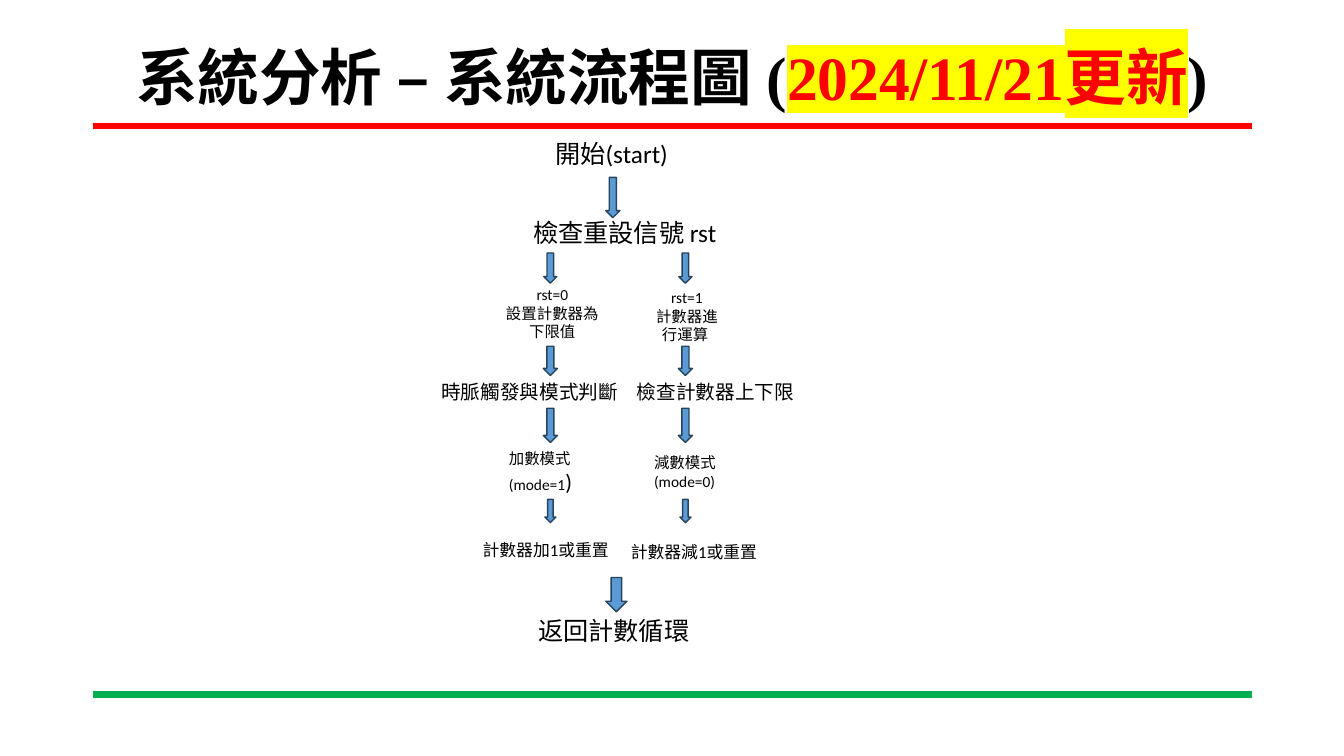
from dataclasses import dataclass

from lxml.etree import SubElement
from pptx import Presentation
from pptx.dml.color import RGBColor as Color
from pptx.enum.shapes import MSO_CONNECTOR as Connector, MSO_SHAPE as Shape
from pptx.enum.text import MSO_ANCHOR as Anchor, MSO_AUTO_SIZE as AutoSize, PP_ALIGN as Align
from pptx.oxml import parse_xml
from pptx.oxml.ns import nsdecls, qn
from pptx.util import Inches, Pt


@dataclass(frozen=True)
class Theme:
    """Colours, fonts and type sizes of the slide."""
    ink: str = "000000"
    alert: str = "FF0000"
    marker: str = "FFFF00"
    footer: str = "00B050"
    arrow: str = "5B9BD5"
    edge: str = "28445D"
    title_font: str = "Times New Roman"
    body_font: str = "Calibri"
    title: int = 44
    main: int = 18
    bracket: int = 16
    step: int = 14
    result: int = 12
    detail: int = 11
    rule: float = 4.5


THEME = Theme()
UNIT = 0.1


@dataclass(frozen=True)
class Box:
    """A rectangle counted in columns and rows of the slide grid."""
    col: float
    row: float
    cols: float
    rows: float

    def inner(self, col, row, cols, rows):
        """Return a box placed relative to this one."""
        return Box(self.col + col, self.row + row, cols, rows)

    def lengths(self):
        """Return left, top, width and height as slide lengths."""
        return [Inches(n * UNIT) for n in (self.col, self.row, self.cols, self.rows)]


PAGE = Box(0, 0, 133.33, 75)
HEADER = PAGE.inner(9.2, 4, 115, 7.9)
FLOW = PAGE.inner(42.8, 13.2, 37.4, 51.4)
LEFT_AXIS, RIGHT_AXIS = 11.8, 25.2
LANE_ARROWS = [(11.9, 1.3, 3), (21.15, 1.4, 2.9), (27.3, 1.4, 3.4), (36.35, 1.1, 2.3)]
LEFT_STEPS = [
    ((-6.1, 14.6, 12.6, 6.6), ["rst=0", "設置計數器為下限值"], THEME.detail, Align.CENTER),
    ((-11.8, 24, 26, 3.4), ["時脈觸發與模式判斷"], THEME.step, Align.LEFT),
    ((-5.1, 30.9, 10.6, 5.6), ["加數模式 (mode=1"], THEME.detail, Align.LEFT),
    ((-7.7, 39.9, 18.6, 3), ["計數器加1或重置"], THEME.result, Align.LEFT),
]
RIGHT_STEPS = [
    ((-4.2, 14.9, 8.7, 6.6), ["rst=1", "計數器進行運算 "], THEME.detail, Align.CENTER),
    ((-5.8, 24, 18, 3.4), ["檢查計數器上下限"], THEME.step, Align.LEFT),
    ((-4.1, 31.3, 11.8, 4.7), ["減數模式 (mode=0)"], THEME.detail, Align.LEFT),
    ((-6.4, 40.1, 19.2, 3), ["計數器減1或重置"], THEME.result, Align.LEFT),
]


def add_span(para, text, *, size, font=THEME.body_font, color=THEME.ink, bold=False, highlight=None):
    """Add a formatted run of text to a paragraph."""
    span = para.add_run()
    span.text = text
    span.font.size = Pt(size)
    span.font.bold = bold
    span.font.color.rgb = Color.from_string(color)
    if highlight:
        mark = SubElement(span.font._element, qn("a:highlight"))
        SubElement(mark, qn("a:srgbClr"), val=highlight)
    span.font.name = font


def add_rule(page, box, color):
    """Draw a horizontal rule along the top of a box."""
    left, top, width, _ = box.lengths()
    rule = page.shapes.add_connector(Connector.STRAIGHT, left, top, left + width, top)
    rule.line.color.rgb = Color.from_string(color)
    rule.line.width = Pt(THEME.rule)
    rule._element.spPr.append(parse_xml(f"<a:effectLst {nsdecls('a')}/>"))


def add_label(page, box, lines, size, align=Align.LEFT):
    """Write lines of text in a box and return its last paragraph."""
    frame = page.shapes.add_textbox(*box.lengths()).text_frame
    frame.word_wrap = True
    frame.auto_size = AutoSize.SHAPE_TO_FIT_TEXT
    for index, line in enumerate(lines):
        para = frame.add_paragraph() if index else frame.paragraphs[0]
        para.alignment = align
        add_span(para, line, size=size)
    return para


def add_arrow(page, box):
    """Draw a down arrow that fills a box."""
    arrow = page.shapes.add_shape(Shape.DOWN_ARROW, *box.lengths())
    arrow.shadow.inherit = False
    arrow.fill.solid()
    arrow.fill.fore_color.rgb = Color.from_string(THEME.arrow)
    arrow.line.color.rgb = Color.from_string(THEME.edge)
    arrow.line.width = Pt(1)


def add_header(page, box):
    """Fill the title placeholder and underline it."""
    title = page.shapes.title
    title.left, title.top, title.width, title.height = box.lengths()
    frame = title.text_frame
    frame.word_wrap = True
    frame.auto_size = AutoSize.NONE
    frame.vertical_anchor = Anchor.MIDDLE
    para = frame.paragraphs[0]
    para.alignment = Align.CENTER
    para.line_spacing = 0.9
    look = {"size": THEME.title, "font": THEME.title_font, "bold": True}
    add_span(para, "系統分析 – 系統流程圖 (", **look)
    add_span(para, "2024/11/21更新", color=THEME.alert, highlight=THEME.marker, **look)
    add_span(para, ")", **look)
    add_rule(page, box.inner(0, 8.5, box.cols, 0), THEME.alert)


def add_lane(page, box, steps):
    """Draw one branch around the left edge of its box."""
    for row, cols, rows in LANE_ARROWS:
        add_arrow(page, box.inner(-cols / 2, row, cols, rows))
    return [add_label(page, box.inner(*place), *rest) for place, *rest in steps]


def add_flow(page, box):
    """Draw the flowchart with its shared steps and two branches."""
    add_label(page, box.inner(11.3, 0, 34.3, 4), ["開始(start)"], THEME.main)
    add_arrow(page, box.inner(17.3, 4.4, 1.4, 4))
    add_label(page, box.inner(5.6, 7.9, 27.7, 4), ["檢查重設信號 rst "], THEME.main, Align.CENTER)
    left_lane = add_lane(page, box.inner(LEFT_AXIS, 0, 0, box.rows), LEFT_STEPS)
    add_span(left_lane[2], ")", size=THEME.bracket)
    add_lane(page, box.inner(RIGHT_AXIS, 0, 0, box.rows), RIGHT_STEPS)
    add_arrow(page, box.inner(17.3, 44.1, 2.1, 3.4))
    add_label(page, box.inner(9.6, 47.4, 17.4, 4), ["返回計數循環"], THEME.main)


def main():
    """Build the deck and save it."""
    deck = Presentation()
    _, _, deck.slide_width, deck.slide_height = PAGE.lengths()
    page = deck.slides.add_slide(deck.slide_layouts[5])
    add_header(page, HEADER)
    add_flow(page, FLOW)
    add_rule(page, HEADER.inner(0, 64.9, HEADER.cols, 0), THEME.footer)
    deck.save("out.pptx")


if __name__ == "__main__":
    main()
